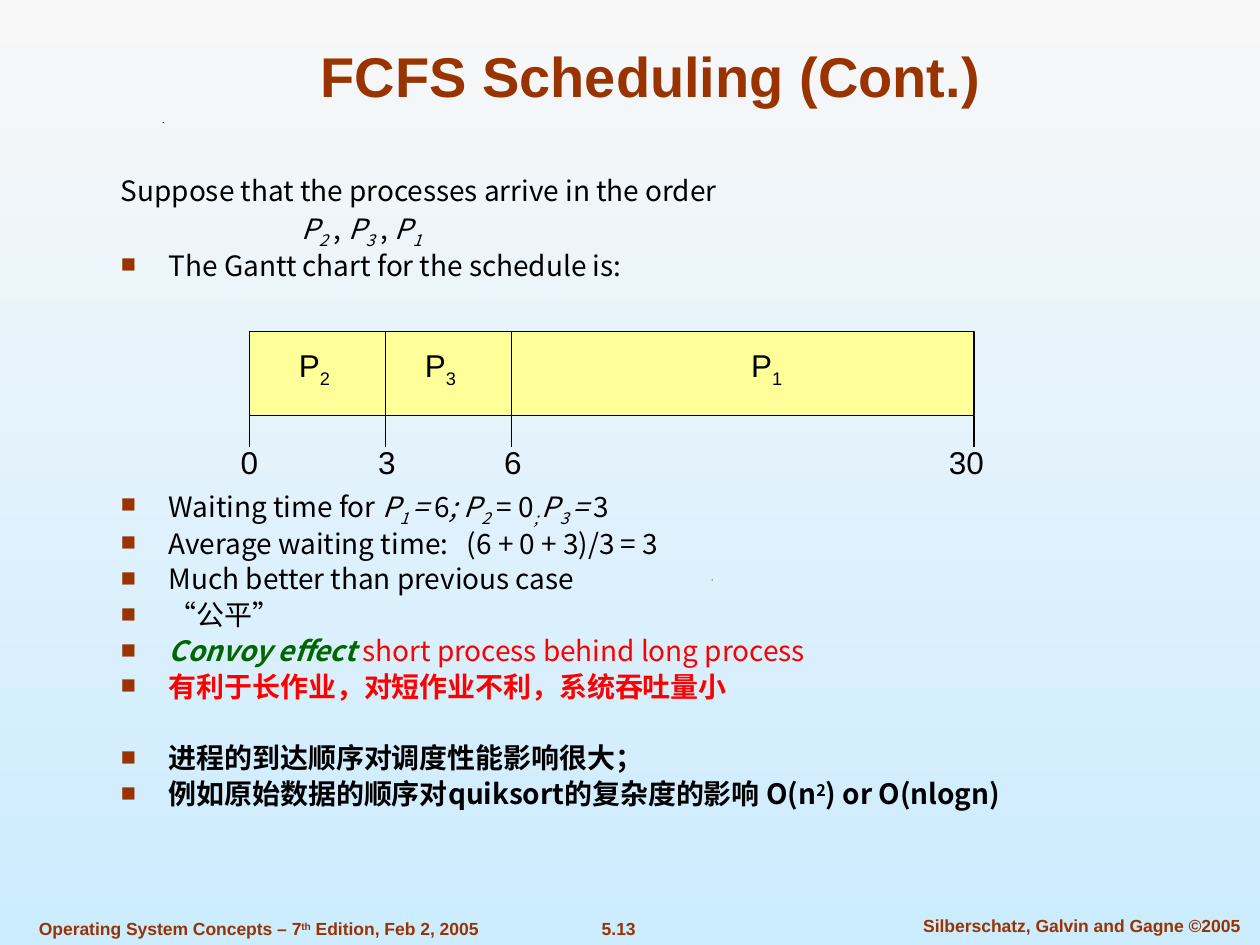
from dataclasses import dataclass

from lxml import etree
from pptx import Presentation
from pptx.dml.color import RGBColor
from pptx.enum.shapes import MSO_CONNECTOR, MSO_SHAPE
from pptx.enum.text import MSO_ANCHOR, MSO_AUTO_SIZE, PP_ALIGN
from pptx.oxml.ns import qn
from pptx.util import Inches, Pt

LEFT, CENTER = PP_ALIGN.LEFT, PP_ALIGN.CENTER
BOTTOM, MIDDLE, TOP = MSO_ANCHOR.BOTTOM, MSO_ANCHOR.MIDDLE, MSO_ANCHOR.TOP
NO_FIT = MSO_AUTO_SIZE.NONE
RECTANGLE = MSO_SHAPE.RECTANGLE
STRAIGHT = MSO_CONNECTOR.STRAIGHT


@dataclass(frozen=True)
class Theme:
    heading_font: str = "Arial"
    body_font: str = "Noto Sans CJK SC"
    accent: str = "993300"
    ink: str = "000000"
    warning: str = "FF0000"
    term: str = "006600"
    bar: str = "FFFF99"
    sky_top: str = "F8F8F8"
    sky_bottom: str = "CCECFF"
    title_size: float = 32
    chart_size: float = 18
    body_size: float = 16
    footer_size: float = 10
    line_width: float = 0.75


THEME = Theme()
RUN_MARKS = {"_": ("baseline", "-25000"), "^": ("baseline", "30000"), "w": ("spc", "700")}
BODY_INDENT, ORDER_INDENT = 0.38, 1.43
LINE_SPACING, GAP, CHART_GAP, SECTION_GAP = 0.7, 7, 123.1, 27.4

BODY = [
    (0, False, [("Suppose that the processes arrive in the order", "")]),
    (GAP, False, [("P", "i"), ("2", "i_"), (" , ", ""), ("P", "i"), ("3", "i_"),
                  (" , ", ""), ("P", "i"), ("1", "i_")]),
    (GAP, True, [("The Gantt chart for the schedule is:", "")]),
    (CHART_GAP, True, [("Waiting time for ", ""), ("P", "i"), ("1 ", "i_"), ("=", "i"),
                       (" 6", ""), ("; P", "i"), ("2", "i_"), (" = 0", ""),
                       ("; ", "i_"), ("P", "i"), ("3 ", "i_"), ("= ", "i"), ("3", "")]),
    (GAP, True, [("Average waiting time:", ""), (" ", "w"), ("(6 + 0 + 3)/3 = 3", "")]),
    (GAP, True, [("Much better than previous case", "")]),
    (GAP, True, [("“公平”", "")]),
    (GAP, True, [("Convoy effect", "big"), (" short process behind long process", "r")]),
    (GAP, True, [("有利于长作业，对短作业不利，系统吞吐量小", "br")]),
    (SECTION_GAP, True, [("进程的到达顺序对调度性能影响很大；", "b")]),
    (GAP, True, [("例如原始数据的顺序对quiksort的复杂度的影响 O(n", "b"), ("2", "b^"),
                 (") or O(nlogn)", "b")]),
]
FOOTERS = [
    ((0.21, 7.24, 3.69, 0.27), LEFT,
     [("Operating System Concepts – 7", ""), ("th", "^"), (" Edition, Feb 2, 2005", "")]),
    ((4.42, 7.24, 0.98, 0.27), CENTER, [("5.13", "")]),
    ((7.1, 7.21, 2.97, 0.27), CENTER, [("Silberschatz, Galvin and Gagne ©2005", "")]),
]
PROCESSES = [("2", 0.52), ("3", 1.52), ("1", 4.11)]
TIMES = [("0", 0, 0), ("3", 1.08, 1.09), ("6", 2.08, 2.09), ("30", 5.75, 5.69)]
SPECKS = [(5.65, 4.6), (1.29, 0.97)]


def color(value):
    return RGBColor.from_string(value)


def add_spans(para, spans):
    for text, style in spans:
        span = para.add_run()
        span.text = text
        if "i" in style:
            span.font.italic = True
        if "b" in style:
            span.font.bold = True
        if "r" in style:
            span.font.color.rgb = color(THEME.warning)
        if "g" in style:
            span.font.color.rgb = color(THEME.term)
        for mark, (attribute, value) in RUN_MARKS.items():
            if mark in style:
                span._r.get_or_add_rPr().set(attribute, value)


def set_font(para, name, size, ink, bold=False):
    para.font.name = name
    para.font.size = Pt(size)
    para.font.bold = bold
    para.font.color.rgb = color(ink)
    latin = para.font._element.find(qn("a:latin"))
    latin.addnext(etree.Element(qn("a:ea"), typeface=name))


def place(shape, box):
    shape.left, shape.top, shape.width, shape.height = map(Inches, box)


def add_label(page, box, spans, size, ink, align=CENTER, anchor=MIDDLE, bold=False):
    frame = page.shapes.add_textbox(*map(Inches, box)).text_frame
    frame.word_wrap = False
    frame.vertical_anchor = anchor
    para = frame.paragraphs[0]
    para.alignment = align
    set_font(para, THEME.heading_font, size, ink, bold)
    add_spans(para, spans)


def add_line(page, x, top, bottom):
    line = page.shapes.add_connector(
        STRAIGHT, Inches(x), Inches(top), Inches(x), Inches(bottom))
    line.line.color.rgb = color(THEME.ink)
    line.line.width = Pt(THEME.line_width)
    etree.SubElement(line._element.spPr, qn("a:effectLst"))


def paint_background(page):
    fill = page.background.fill
    fill.gradient()
    fill.gradient_angle = 270
    for stop, shade in zip(fill.gradient_stops, (THEME.sky_top, THEME.sky_bottom)):
        stop.color.rgb = color(shade)


def add_specks(page):
    for x, y in SPECKS:
        builder = page.shapes.build_freeform(Inches(x), Inches(y + 0.01))
        builder.add_line_segments(
            [(Inches(x + 0.01), Inches(y)), (Inches(x), Inches(y))], close=True)
        speck = builder.convert_to_shape()
        speck.shadow.inherit = False
        speck.fill.solid()
        speck.fill.fore_color.rgb = color(THEME.ink)
        speck.line.fill.background()


def add_footers(page):
    for box, align, spans in FOOTERS:
        add_label(page, box, spans, THEME.footer_size, THEME.accent, align, TOP, True)


def fill_title(title, box):
    place(title, box)
    frame = title.text_frame
    frame.auto_size = NO_FIT
    frame.vertical_anchor = BOTTOM
    para = frame.paragraphs[0]
    para.alignment = CENTER
    set_font(para, THEME.heading_font, THEME.title_size, THEME.accent, True)
    add_spans(para, [("FCFS Scheduling (Cont.)", "")])


def set_bullet(para, bulleted, left, hanging):
    properties = para._p.get_or_add_pPr()
    properties.set("marL", str(Inches(left)))
    properties.set("indent", str(Inches(-hanging)))
    if not bulleted:
        etree.SubElement(properties, qn("a:buNone"))
        return
    bullet_color = etree.SubElement(properties, qn("a:buClr"))
    etree.SubElement(bullet_color, qn("a:srgbClr"), val=THEME.accent)
    etree.SubElement(properties, qn("a:buSzPct"), val="90000")
    etree.SubElement(properties, qn("a:buFont"), typeface=THEME.heading_font)
    etree.SubElement(properties, qn("a:buChar"), char="■")


def fill_body(body, box):
    place(body, box)
    frame = body.text_frame
    frame.auto_size = NO_FIT
    frame.vertical_anchor = TOP
    for index, (gap, bulleted, spans) in enumerate(BODY):
        para = frame.add_paragraph() if index else frame.paragraphs[0]
        hanging = 0 if index == 1 else BODY_INDENT
        set_bullet(para, bulleted, ORDER_INDENT if index == 1 else BODY_INDENT, hanging)
        para.line_spacing = LINE_SPACING
        para.space_before = Pt(gap)
        set_font(para, THEME.body_font, THEME.body_size, THEME.ink)
        add_spans(para, spans)


def add_gantt(page, box):
    left, top, width, height = box
    bottom = top + height
    bar = page.shapes.add_shape(RECTANGLE, *map(Inches, box))
    bar.shadow.inherit = False
    bar.fill.solid()
    bar.fill.fore_color.rgb = color(THEME.bar)
    bar.line.color.rgb = color(THEME.ink)
    bar.line.width = Pt(THEME.line_width)
    for number, center in PROCESSES:
        add_label(page, (left + center - 0.23, top + 0.07, 0.45, 0.44),
                  [("P", ""), (number, "_")], THEME.chart_size, THEME.ink)
    for time, offset, center in TIMES:
        if 0 < offset < width:
            add_line(page, left + offset, top, bottom)
        add_line(page, left + offset, bottom, bottom + 0.25)
        add_label(page, (left + center - 0.24, bottom + 0.17, 0.48, 0.4),
                  [(time, "")], THEME.chart_size, THEME.ink)


def main():
    deck = Presentation()
    deck.slide_width, deck.slide_height = Inches(10), Inches(7.5)
    page = deck.slides.add_slide(deck.slide_layouts[1])
    paint_background(page)
    add_specks(page)
    add_footers(page)
    fill_title(page.shapes.title, (0.75, 0.24, 8.83, 0.67))
    fill_body(page.placeholders[1], (0.86, 1.4, 8.07, 5.55))
    add_gantt(page, (1.98, 2.63, 5.75, 0.67))
    deck.save("out.pptx")


if __name__ == "__main__":
    main()
